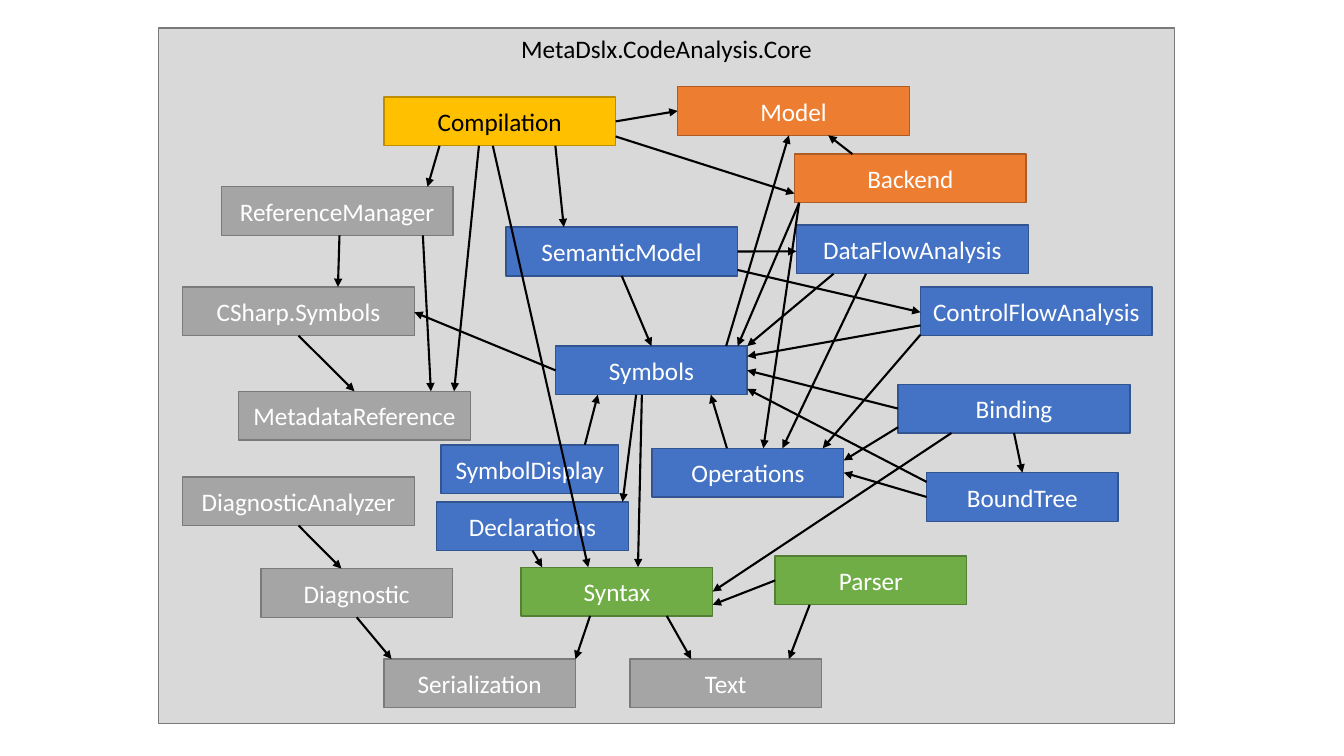
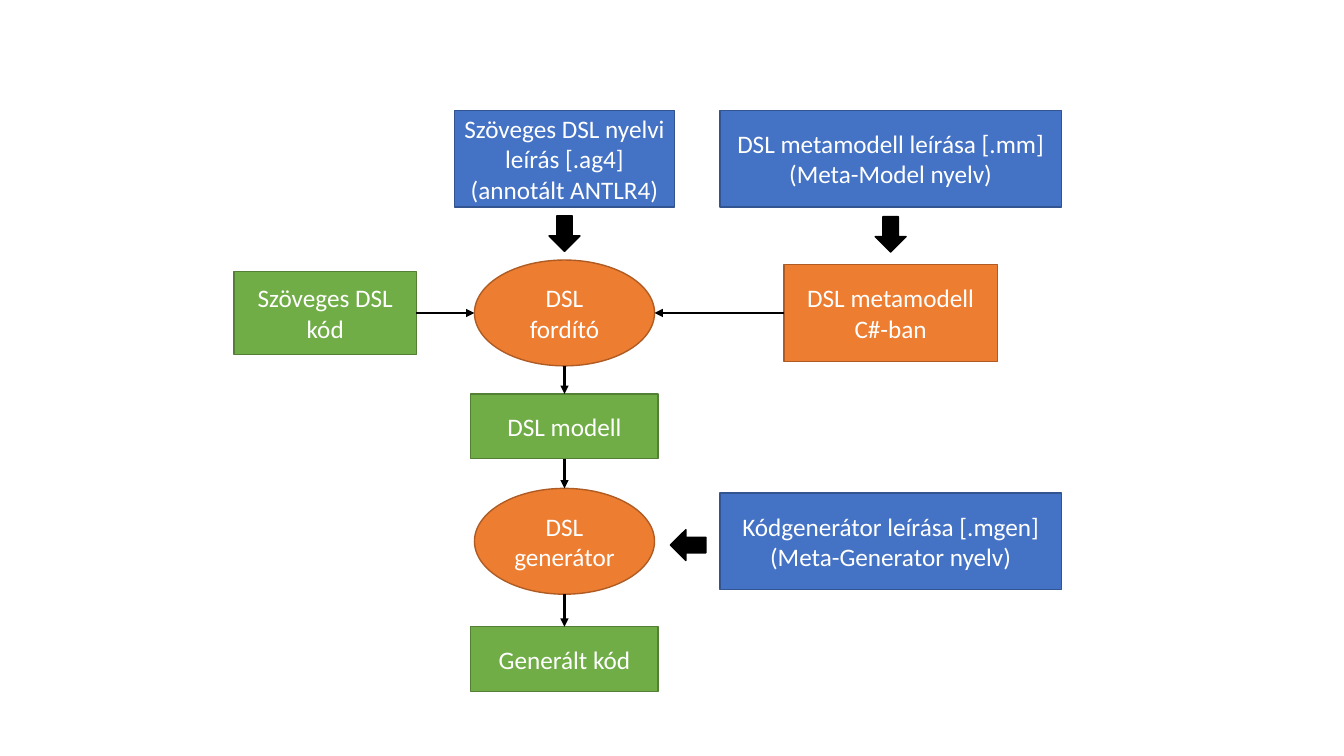
from collections import namedtuple

from lxml import etree
from pptx import Presentation
from pptx.dml.color import RGBColor
from pptx.enum.shapes import MSO_CONNECTOR, MSO_SHAPE
from pptx.enum.text import MSO_ANCHOR, PP_ALIGN
from pptx.oxml.ns import qn
from pptx.util import Inches, Pt

RECT, OVAL, DOWN = MSO_SHAPE.RECTANGLE, MSO_SHAPE.OVAL, MSO_SHAPE.DOWN_ARROW
STRAIGHT = MSO_CONNECTOR.STRAIGHT
TOP, MIDDLE, CENTER = MSO_ANCHOR.TOP, MSO_ANCHOR.MIDDLE, PP_ALIGN.CENTER

Box = namedtuple("Box", "x y w h")
Look = namedtuple("Look", "fill line text")
SLIDE = Box(0, 0, 13.33, 7.5)
FONT = {"name": "Calibri", "size": Pt(18)}
LOOKS = {
    "panel": Look("D9D9D9", "7A7A7A", "000000"),
    "gray": Look("A5A5A5", "7A7A7A", "FFFFFF"),
    "blue": Look("4472C4", "325491", "FFFFFF"),
    "green": Look("70AD47", "538035", "FFFFFF"),
    "orange": Look("ED7D31", "AF5C24", "FFFFFF"),
    "yellow": Look("FFC000", "BD8E00", "000000"),
    "black": Look("000000", "000000", "FFFFFF"),
}

# Module sizes and places are percentages of the panel.
WIDE, MEDIUM, NARROW, MODULE_H = 22.8, 18.85, 17.5, 7
MODULES = [
    ("Compilation", "yellow", 22.2, 9.9, WIDE),
    ("Model", "orange", 51.1, 8.4, WIDE),
    ("Backend", "orange", 62.6, 18.1, WIDE),
    ("ReferenceManager", "gray", 6.2, 22.8, WIDE),
    ("SemanticModel", "blue", 34.2, 28.6, WIDE),
    ("DataFlowAnalysis", "blue", 62.8, 28.3, WIDE),
    ("ControlFlowAnalysis", "blue", 75, 37.2, WIDE),
    ("CSharp.Symbols", "gray", 2.4, 37.2, WIDE),
    ("Symbols", "blue", 39.1, 45.7, MEDIUM),
    ("MetadataReference", "gray", 7.9, 52.2, WIDE),
    ("Binding", "blue", 72.8, 51.2, WIDE),
    ("SymbolDisplay", "blue", 27.8, 59.9, NARROW),
    ("Operations", "blue", 48.6, 60.4, MEDIUM),
    ("BoundTree", "blue", 75.6, 63.9, MEDIUM),
    ("DiagnosticAnalyzer", "gray", 2.4, 64.5, WIDE),
    ("Declarations", "blue", 27.4, 68.1, MEDIUM),
    ("Diagnostic", "gray", 10.1, 77.7, MEDIUM),
    ("Syntax", "green", 35.7, 77.5, MEDIUM),
    ("Parser", "green", 60.7, 75.9, MEDIUM),
    ("Serialization", "gray", 22.2, 90.7, MEDIUM),
    ("Text", "gray", 46.4, 90.7, MEDIUM),
]
# Source, its edge and share along it; target, its edge and share along it.
DEPENDENCIES = [
    ("Compilation", "B", .24, "ReferenceManager", "T", .89),
    ("Compilation", "B", .41, "MetadataReference", "T", .93),
    ("Compilation", "B", .47, "Syntax", "T", .35),
    ("Compilation", "B", .74, "SemanticModel", "T", .25),
    ("Compilation", "R", .5, "Model", "L", .5),
    ("Compilation", "R", .81, "Backend", "L", .81),
    ("Backend", "T", .25, "Model", "B", .65),
    ("Backend", "B", .02, "Symbols", "T", .95),
    ("Backend", "B", .02, "Operations", "T", .58),
    ("ReferenceManager", "B", .51, "CSharp.Symbols", "T", .67),
    ("ReferenceManager", "B", .87, "MetadataReference", "T", .83),
    ("CSharp.Symbols", "B", .5, "MetadataReference", "T", .5),
    ("SemanticModel", "B", .5, "Symbols", "T", .5),
    ("SemanticModel", "R", .5, "DataFlowAnalysis", "L", .54),
    ("SemanticModel", "R", .88, "ControlFlowAnalysis", "L", .52),
    ("DataFlowAnalysis", "B", .16, "Symbols", "T", 1),
    ("DataFlowAnalysis", "B", .3, "Operations", "T", .68),
    ("ControlFlowAnalysis", "L", .79, "Symbols", "R", .21),
    ("ControlFlowAnalysis", "L", .98, "Operations", "T", .89),
    ("Symbols", "T", .89, "Model", "B", .48),
    ("Symbols", "L", .5, "CSharp.Symbols", "R", .52),
    ("Symbols", "B", .42, "Declarations", "T", .97),
    ("Symbols", "B", .45, "Syntax", "T", .61),
    ("SymbolDisplay", "T", .81, "Symbols", "B", .22),
    ("Operations", "T", .39, "Symbols", "B", .81),
    ("Binding", "L", .5, "Symbols", "R", .5),
    ("Binding", "L", .88, "Operations", "R", .25),
    ("Binding", "B", .23, "Syntax", "R", .5),
    ("Binding", "B", .5, "BoundTree", "T", .5),
    ("BoundTree", "L", .19, "Symbols", "R", .88),
    ("BoundTree", "L", .5, "Operations", "R", .5),
    ("Declarations", "B", .5, "Syntax", "T", .11),
    ("Parser", "L", .5, "Syntax", "R", .77),
    ("Parser", "B", .18, "Text", "T", .83),
    ("DiagnosticAnalyzer", "B", .5, "Diagnostic", "T", .42),
    ("Diagnostic", "B", .5, "Serialization", "T", .04),
    ("Syntax", "B", .36, "Serialization", "T", 1),
    ("Syntax", "B", .76, "Text", "T", .32),
]

# Centre lines and sizes of the flow are percentages of the slide.
LEFT, MAIN, RIGHT = 24.2, 42, 66.27
INPUT_ROW, COMPILE_ROW, MODEL_ROW, GENERATE_ROW, OUTPUT_ROW = 21, 41.4, 56.4, 71.6, 87.2
TOOL, RESULT, DESCRIPTION = (13.4, 14), (13.95, 8.6), (25.4, 12.8)
FLOW = {
    "code": ("Szöveges DSL kód", "green", RECT, LEFT, COMPILE_ROW, (13.55, 11)),
    "grammar": ("Szöveges DSL nyelvi leírás [.ag4]\n(annotált ANTLR4)",
                "blue", RECT, MAIN, INPUT_ROW, (16.4, 12.8)),
    "metamodel": ("DSL metamodell leírása [.mm]\n(Meta-Model nyelv)",
                  "blue", RECT, RIGHT, INPUT_ROW, DESCRIPTION),
    "compiler": ("DSL fordító", "orange", OVAL, MAIN, COMPILE_ROW, TOOL),
    "classes": ("DSL metamodell C#-ban", "orange", RECT, RIGHT, COMPILE_ROW, (15.9, 12.8)),
    "model": ("DSL modell", "green", RECT, MAIN, MODEL_ROW, RESULT),
    "generator": ("DSL generátor", "orange", OVAL, MAIN, GENERATE_ROW, TOOL),
    "templates": ("Kódgenerátor leírása [.mgen]\n(Meta-Generator nyelv)",
                  "blue", RECT, RIGHT, GENERATE_ROW, DESCRIPTION),
    "output": ("Generált kód", "green", RECT, MAIN, OUTPUT_ROW, RESULT),
}
STEPS = [
    ("code", "R", .5, "compiler", "L", .5),
    ("classes", "L", .5, "compiler", "R", .5),
    ("compiler", "B", .5, "model", "T", .5),
    ("model", "B", .5, "generator", "T", .5),
    ("generator", "B", .5, "output", "T", .5),
]
BLOCK_SIZE = (2.3, 4.7)
BLOCK_ARROWS = [(MAIN, 30.9, 0), (RIGHT, 31, 0), (51.2, 72.1, 90)]


def color(value):
    """Turn a hex string into a colour."""
    return RGBColor.from_string(value)


def part(box, x, y, w, h):
    """Return the part of a box given in percentages of it."""
    return Box(box.x + box.w * x / 100, box.y + box.h * y / 100,
               box.w * w / 100, box.h * h / 100)


def centred(box, x, y, size):
    """Return the part of a box that is centred on a point of it."""
    w, h = size
    return part(box, x - w / 2, y - h / 2, w, h)


def edge_point(box, edge, share):
    """Return the point at a share along the L, R, T or B edge of a box."""
    fx, fy = {"L": (0, share), "R": (1, share), "T": (share, 0), "B": (share, 1)}[edge]
    return Inches(box.x + box.w * fx), Inches(box.y + box.h * fy)


def add_node(s, box, look, text="", kind=RECT, anchor=MIDDLE):
    """Draw a filled shape with centred text, one paragraph a line."""
    sp = s.shapes.add_shape(kind, *map(Inches, box))
    sp.shadow.inherit = False
    sp.fill.solid()
    sp.fill.fore_color.rgb = color(look.fill)
    sp.line.color.rgb = color(look.line)
    sp.line.width = Pt(1)
    tf = sp.text_frame
    tf.text, tf.word_wrap, tf.vertical_anchor = text, True, anchor
    for p in tf.paragraphs:
        p.alignment = CENTER
        for r in p.runs:
            r.font.color.rgb = color(look.text)
            for key, value in FONT.items():
                setattr(r.font, key, value)
    return sp


def add_arrows(s, boxes, links):
    """Connect named boxes with black arrows."""
    for source, edge, share, target, target_edge, target_share in links:
        line = s.shapes.add_connector(STRAIGHT, *edge_point(boxes[source], edge, share),
                                      *edge_point(boxes[target], target_edge, target_share))
        line.line.color.rgb = color("000000")
        line.line.width = Pt(1.5)
        etree.SubElement(line.line._get_or_add_ln(), qn("a:tailEnd"), type="triangle")
        etree.SubElement(line._element.spPr, qn("a:effectLst"))


def module_slide(s, panel):
    """Draw the modules of the library and their dependencies in a panel."""
    add_node(s, panel, LOOKS["panel"], "MetaDslx.CodeAnalysis.Core", anchor=TOP)
    boxes = {}
    for name, look, x, y, w in MODULES:
        boxes[name] = part(panel, x, y, w, MODULE_H)
        add_node(s, boxes[name], LOOKS[look], name)
    add_arrows(s, boxes, DEPENDENCIES)


def flow_slide(s, area):
    """Draw the steps from the DSL descriptions to the generated code."""
    boxes = {}
    for name, (text, look, kind, x, y, size) in FLOW.items():
        boxes[name] = centred(area, x, y, size)
        add_node(s, boxes[name], LOOKS[look], text, kind)
    add_arrows(s, boxes, STEPS)
    for x, y, angle in BLOCK_ARROWS:
        sp = add_node(s, centred(area, x, y, BLOCK_SIZE), LOOKS["black"], kind=DOWN)
        sp.rotation = angle


prs = Presentation()
prs.slide_width, prs.slide_height = Inches(SLIDE.w), Inches(SLIDE.h)
blank = prs.slide_layouts[6]
module_slide(prs.slides.add_slide(blank), Box(1.57, 0.28, 10.08, 6.9))
flow_slide(prs.slides.add_slide(blank), SLIDE)
prs.save("out.pptx")
